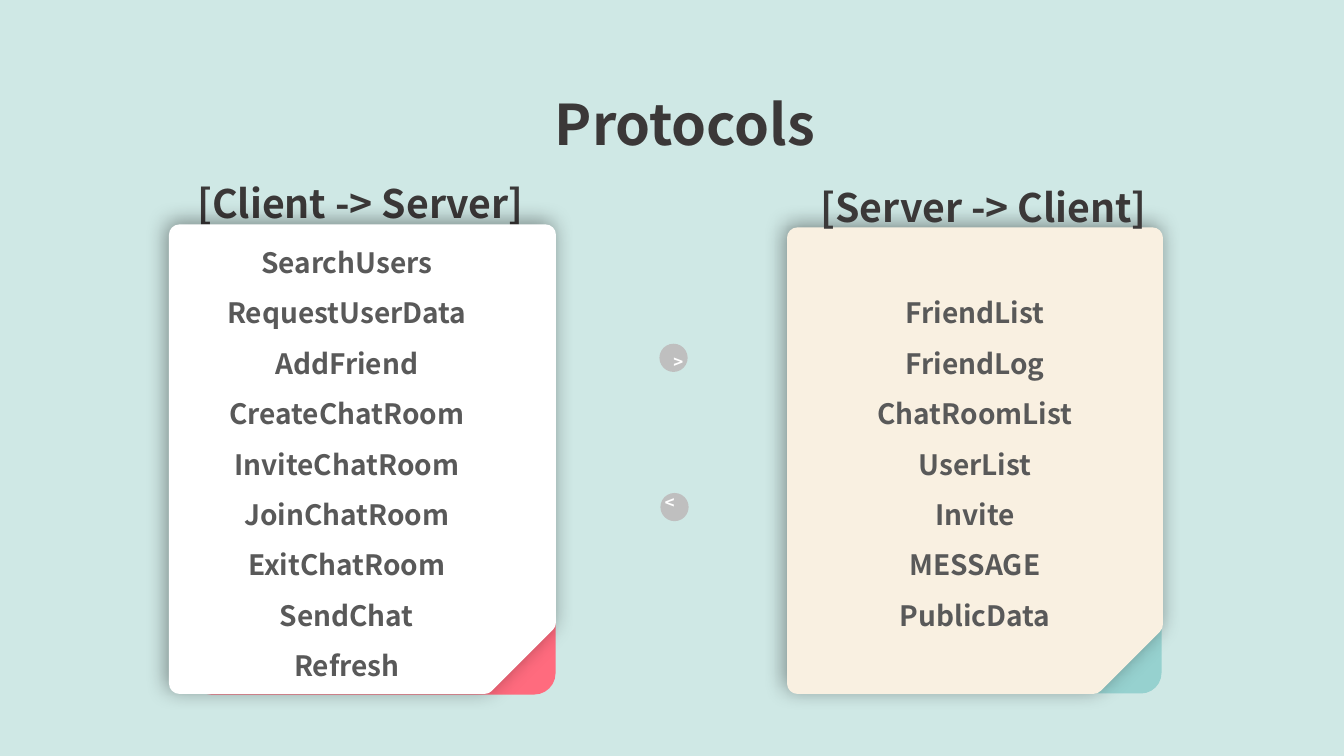
from lxml import etree
from pptx import Presentation
from pptx.dml.color import RGBColor
from pptx.enum.shapes import MSO_SHAPE
from pptx.enum.text import MSO_AUTO_SIZE, PP_ALIGN
from pptx.oxml import parse_xml
from pptx.oxml.ns import nsdecls, qn
from pptx.util import Inches, Pt

ROUNDED, SNIPPED, OVAL = (MSO_SHAPE.ROUNDED_RECTANGLE,
                          MSO_SHAPE.SNIP_1_RECTANGLE, MSO_SHAPE.OVAL)
CENTER, GROW = PP_ALIGN.CENTER, MSO_AUTO_SIZE.SHAPE_TO_FIT_TEXT
FONT = "Noto Sans CJK KR"
DARK, GRAY, DOT = "3B3838", "595959", "BFBFBF"
color = RGBColor.from_string


def add_text(shapes, box, lines, size, text_color):
    text_box = shapes.add_textbox(*map(Inches, box))
    frame = text_box.text_frame
    frame.word_wrap = True
    frame.auto_size = GROW
    for index, line in enumerate(lines):
        paragraph = frame.add_paragraph() if index else frame.paragraphs[0]
        paragraph.alignment = CENTER
        paragraph.line_spacing = 1.5
        run = paragraph.add_run()
        run.text = line
        run.font.size = Pt(size)
        run.font.bold = True
        run.font.name = FONT
        run.font.color.rgb = color(text_color)
        east_asian = etree.SubElement(run.font._element, qn("a:ea"))
        east_asian.set("typeface", FONT)
    return text_box


def add_filled(shapes, kind, box, fill, rotation=0):
    shape = shapes.add_shape(kind, *map(Inches, box))
    shape.shadow.inherit = False
    shape.fill.solid()
    shape.fill.fore_color.rgb = color(fill)
    shape.line.fill.background()
    shape.rotation = rotation
    return shape


presentation = Presentation()
presentation.slide_width = Inches(13.33)
presentation.slide_height = Inches(7.5)
slide = presentation.slides.add_slide(presentation.slide_layouts[6])
slide.background.fill.solid()
slide.background.fill.fore_color.rgb = color("CFE8E5")

# The left heading lies behind its card
add_text(slide.shapes, (1.26, 1.5, 4.63, 0.73), ["[Client -> Server]"], 28, DARK)

# Message cards: backing sheet, snipped front sheet with shadow, message names
server_messages = ["FriendList", "FriendLog", "ChatRoomList", "UserList",
                   "Invite", "MESSAGE", "PublicData"]
client_messages = ["SearchUsers", "RequestUserData", "AddFriend",
                   "CreateChatRoom", "InviteChatRoom", "JoinChatRoom",
                   "ExitChatRoom", "SendChat", "Refresh"]
cards = [
    ((7.55, 2.91, 4.42, 3.52), "96D1CF", (7.46, 2.81, 4.42, 3.52), "F9F0E1",
     (7.91, 2.72, 3.52, 3.58), server_messages),
    ((1.47, 2.85, 4.45, 3.63), "FF6B7E", (1.37, 2.74, 4.45, 3.63), "FFFFFF",
     (1.68, 2.22, 3.52, 4.59), client_messages),
]
for back_box, back_fill, front_box, front_fill, text_area, messages in cards:
    back = add_filled(slide.shapes, ROUNDED, back_box, back_fill, 90)
    back.adjustments[0] = 0.058

    front = add_filled(slide.shapes, SNIPPED, front_box, front_fill, 90)
    front.line.color.rgb = color(front_fill)
    front.line.width = Pt(15)
    etree.SubElement(front.line._get_or_add_ln(), qn("a:round"))
    properties = front._element.spPr
    properties.remove(properties.find(qn("a:effectLst")))
    properties.append(parse_xml(
        f'<a:effectLst {nsdecls("a")}><a:outerShdw blurRad="{Pt(15)}" '
        f'dist="{Pt(4)}" dir="{225 * 60000}" algn="ctr" rotWithShape="0">'
        '<a:srgbClr val="000000"><a:alpha val="40000"/></a:srgbClr>'
        '</a:outerShdw></a:effectLst>'))

    add_text(slide.shapes, text_area, messages, 20, GRAY)

# Direction buttons; the lower one is turned round
buttons = [((6.54, 3.41, 0.28, 0.28), (6.58, 3.34, 0.22, 0.4), 0),
           ((6.55, 4.89, 0.28, 0.28), (6.57, 4.84, 0.22, 0.4), 180)]
for dot_box, sign_box, rotation in buttons:
    button = slide.shapes.add_group_shape()
    add_filled(button.shapes, OVAL, dot_box, DOT, rotation)
    sign = add_text(button.shapes, sign_box, [">"], 12, "FFFFFF")
    sign.rotation = rotation

# Title and right heading
add_text(slide.shapes, (4.48, 0.51, 4.63, 0.99), ["Protocols"], 40, DARK)
add_text(slide.shapes, (7.44, 1.54, 4.63, 0.73), ["[Server -> Client]"], 28, DARK)

presentation.save("out.pptx")
